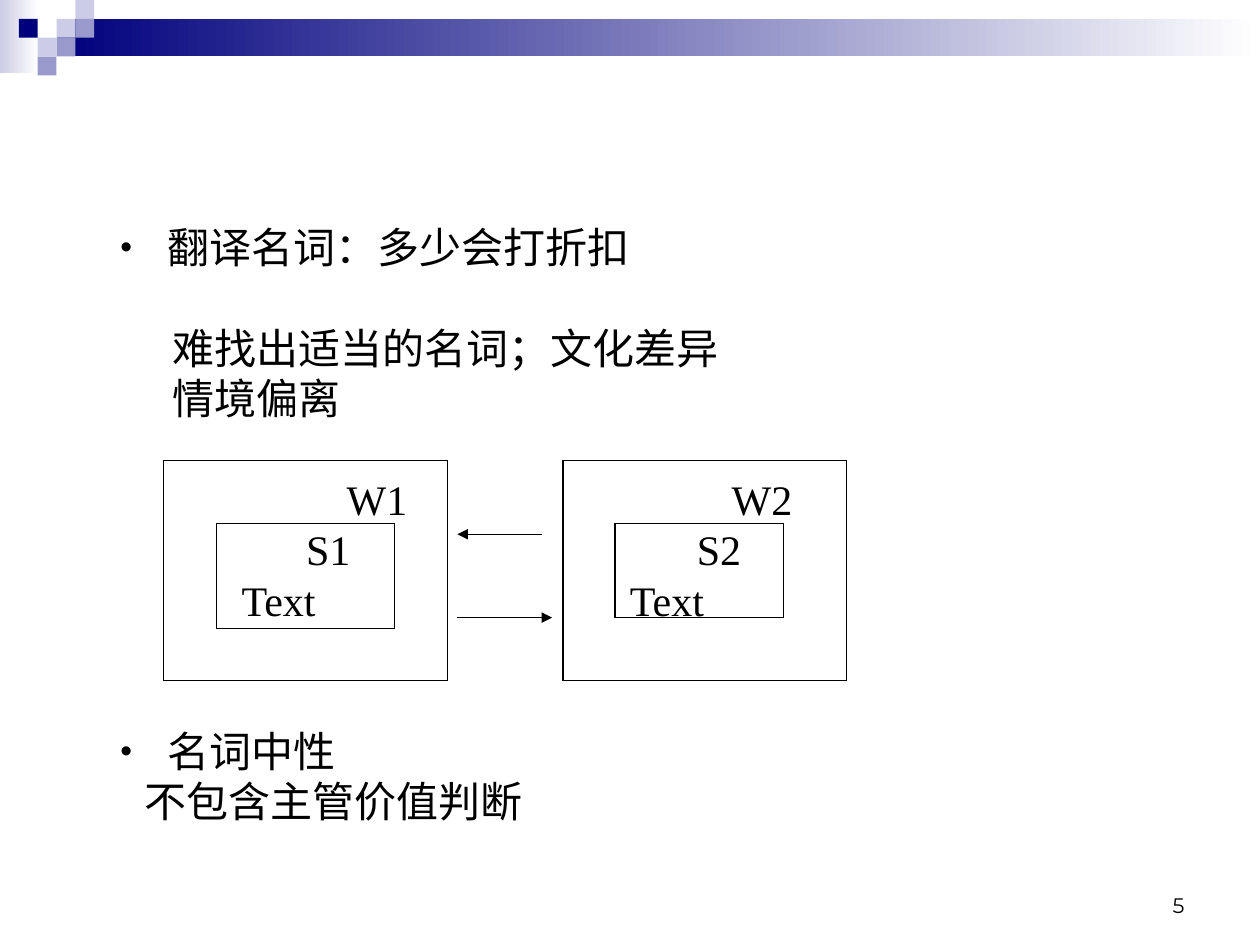
from lxml.etree import SubElement
from pptx import Presentation
from pptx.dml.color import RGBColor
from pptx.enum.shapes import MSO_CONNECTOR as Connector, MSO_SHAPE as Shape
from pptx.enum.text import MSO_ANCHOR as Anchor, PP_ALIGN as Align
from pptx.oxml.ns import qn
from pptx.util import Cm, Pt

COLORS = {"navy": "00007D", "violet": "9999CC", "pale": "CCCCE6",
          "white": "FFFFFF", "black": "000000"}

# Content: text, font, indent (cm), bullet, blank lines before
BODY = [
    ("翻译名词：多少会打折扣", "Arial", 1.23, True, 0),
    ("难找出适当的名词；文化差异", "Times New Roman", 1.33, False, 1),
    ("情境偏离", "Times New Roman", 1.33, False, 0),
    ("W1", "Times New Roman", 4.84, False, 1),
    ("S1", "Times New Roman", 4.02, False, 0),
    ("Text", "Times New Roman", 2.72, False, 0),
    ("名词中性", "Times New Roman", 1.23, True, 2),
    ("不包含主管价值判断", "Times New Roman", 0.77, False, 0),
]
RIGHT_LABELS = [
    ("W2", "Times New Roman", 3.15, False, 0),
    ("S2", "Times New Roman", 2.45, False, 0),
    ("Text", "Times New Roman", 1.1, False, 0),
]
PAGE_NUMBER = "5"

# Text blocks: paragraphs, left, top, width, height
BLOCKS = [(BODY, 1.9, 4.34, 21.17, 12.45),
          (RIGHT_LABELS, 11.35, 9.42, 5.72, 3.3)]

# Header: left, top, width, height, start colour of the fade to white
BANDS = [(0, 0, 0.78, 1.48, "pale"), (1.14, 0.38, 24.26, 0.76, "navy")]
SQUARE = 0.38
# Header squares: column, row, colour
SQUARES = [(3, 1, "pale"), (4, 0, "pale"), (4, 1, "violet"), (2, 2, "pale"),
           (1, 1, "navy"), (3, 2, "violet"), (2, 3, "violet")]

# Diagram: left, top, right, bottom of the W and S frames
FRAMES = [(3.3, 9.28, 9.02, 13.72), (4.37, 10.55, 7.95, 12.67),
          (11.35, 9.28, 17.07, 13.72), (12.4, 10.55, 15.8, 12.45)]
# Arrows: start x, end x, y
ARROWS = [(10.92, 9.22, 10.77), (9.22, 11.13, 12.45)]
TEXT_SIZE = 24
LINE_PITCH = 28.8


def color(name):
    return RGBColor.from_string(COLORS[name])


def add_rectangle(slide, left, top, width, height):
    shape = slide.shapes.add_shape(
        Shape.RECTANGLE, Cm(left), Cm(top), Cm(width), Cm(height))
    shape.shadow.inherit = False
    shape.line.fill.background()
    return shape


def add_line(slide, x1, y1, x2, y2):
    line = slide.shapes.add_connector(
        Connector.STRAIGHT, Cm(x1), Cm(y1), Cm(x2), Cm(y2))
    line.line.color.rgb = color("black")
    line.line.width = Pt(0.75)
    SubElement(line._element.spPr, qn("a:effectLst"))
    return line


def add_text_frame(slide, left, top, width, height, anchor):
    box = slide.shapes.add_textbox(Cm(left), Cm(top), Cm(width), Cm(height))
    frame = box.text_frame
    frame.word_wrap = True
    frame.vertical_anchor = anchor
    return frame


def write(paragraph, text, font_name, size, paragraph_format):
    for name, value in paragraph_format.items():
        setattr(paragraph, name, value)
    run = paragraph.add_run()
    run.text = text
    for name, value in {"name": font_name, "size": Pt(size)}.items():
        setattr(run.font, name, value)
    run.font.color.rgb = color("black")


def set_indent(paragraph, indent, bullet):
    properties = paragraph._p.get_or_add_pPr()
    properties.set("marL", str(Cm(indent)))
    properties.set("indent", str(Cm(-0.95 if bullet else 0)))
    if bullet:
        SubElement(properties, qn("a:buSzPct"), val="80000")
        SubElement(properties, qn("a:buFont"), typeface="Arial")
        SubElement(properties, qn("a:buChar"), char="•")
    else:
        SubElement(properties, qn("a:buNone"))


presentation = Presentation()
presentation.slide_width, presentation.slide_height = Cm(25.4), Cm(19.05)
slide = presentation.slides.add_slide(presentation.slide_layouts[6])

# Header bands and squares
for *place, start in BANDS:
    band = add_rectangle(slide, *place)
    band.fill.gradient()
    band.fill.gradient_angle = 0
    for stop, name, position in zip(
            band.fill.gradient_stops, (start, "white"), (0, 1)):
        stop.color.rgb = color(name)
        stop.position = position
for column, row, name in SQUARES:
    square = add_rectangle(
        slide, column * SQUARE, row * SQUARE, SQUARE, SQUARE)
    square.fill.solid()
    square.fill.fore_color.rgb = color(name)

# Page number
number = add_text_frame(slide, 18.2, 17.35, 5.93, 1.27, Anchor.BOTTOM)
write(number.paragraphs[0], PAGE_NUMBER, "Montserrat", 12,
      {"alignment": Align.RIGHT})

# Body text and diagram labels
for content, *place in BLOCKS:
    frame = add_text_frame(slide, *place, Anchor.TOP)
    for index, (text, font_name, indent, bullet, blanks) in enumerate(content):
        paragraph = frame.add_paragraph() if index else frame.paragraphs[0]
        set_indent(paragraph, indent, bullet)
        paragraph_format = {"line_spacing": Pt(LINE_PITCH)}
        if blanks:
            paragraph_format["space_before"] = Pt(blanks * LINE_PITCH)
        write(paragraph, text, font_name, TEXT_SIZE, paragraph_format)

# Diagram frames, one line for each side
for left, top, right, bottom in FRAMES:
    corners = [(left, top), (right, top), (right, bottom), (left, bottom)]
    for start, end in zip(corners, corners[1:] + corners[:1]):
        add_line(slide, *start, *end)

# Arrows between the frames
for start, end, y in ARROWS:
    arrow = add_line(slide, start, y, end, y)
    SubElement(arrow.line._get_or_add_ln(), qn("a:tailEnd"), type="triangle")

presentation.save("out.pptx")
